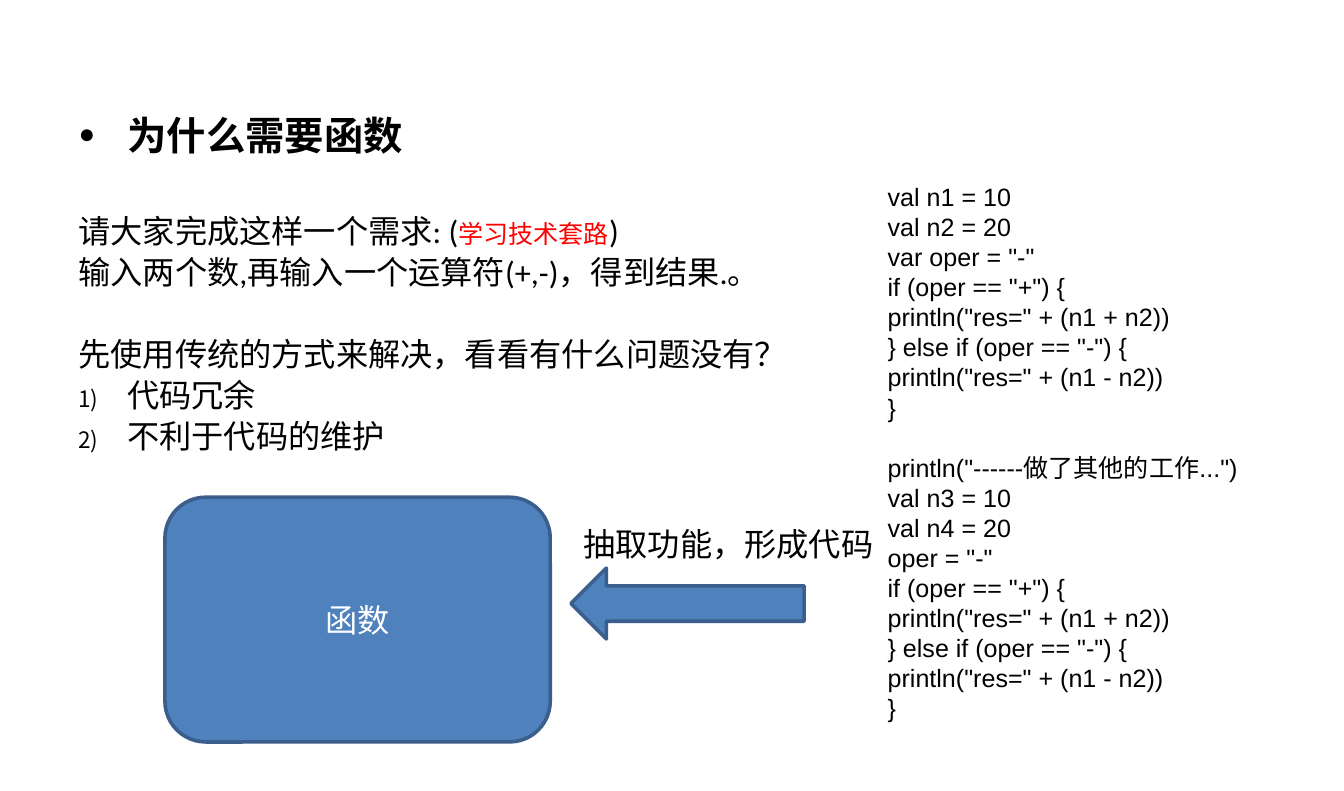
from lxml import etree
from pptx import Presentation
from pptx.dml.color import RGBColor
from pptx.enum.shapes import MSO_SHAPE
from pptx.enum.text import MSO_ANCHOR, MSO_AUTO_SIZE, PP_ALIGN
from pptx.oxml.ns import qn
from pptx.util import Inches, Pt

ROUNDED = MSO_SHAPE.ROUNDED_RECTANGLE
ARROW = MSO_SHAPE.RIGHT_ARROW
TOP, MIDDLE = MSO_ANCHOR.TOP, MSO_ANCHOR.MIDDLE
LEFT, CENTER = PP_ALIGN.LEFT, PP_ALIGN.CENTER
NO_FIT = MSO_AUTO_SIZE.NONE

BLACK = RGBColor(0x00, 0x00, 0x00)
WHITE = RGBColor(0xFF, 0xFF, 0xFF)
RED = RGBColor(0xFF, 0x00, 0x00)
BLUE = RGBColor(0x4F, 0x81, 0xBD)
DARK_BLUE = RGBColor(0x3A, 0x5F, 0x8C)

BODY_PITCH = 23
CODE_PITCH = 16.8
BRANCHES = [
    'if (oper == "+") {',
    'println("res=" + (n1 + n2))',
    '} else if (oper == "-") {',
    'println("res=" + (n1 - n2))',
    "}",
]
FIRST_CODE = ["val n1 = 10", "val n2 = 20", 'var oper = "-"'] + BRANCHES
SECOND_CODE = ['println("------做了其他的工作...")', "val n3 = 10", "val n4 = 20", 'oper = "-"'] + BRANCHES


def add_text(paragraph, text, size=18, font="Calibri", color=BLACK, bold=False):
    run = paragraph.add_run()
    run.text = text
    run.font.size = Pt(size)
    run.font.name = font
    run.font.color.rgb = color
    run.font.bold = bold


def set_bullet(paragraph, tag, **attributes):
    properties = paragraph._p.get_or_add_pPr()
    properties.set("marL", str(Inches(0.38)))
    properties.set("indent", str(Inches(-0.38)))
    color = etree.SubElement(properties, qn("a:buClr"))
    etree.SubElement(color, qn("a:srgbClr"), val=str(BLACK))
    etree.SubElement(properties, qn("a:buSzPct"), val="70000")
    etree.SubElement(properties, qn("a:buFont"), typeface="Arial")
    etree.SubElement(properties, qn(tag), **attributes)


class FunctionSlide:
    def __init__(self, presentation):
        self.slide = presentation.slides.add_slide(presentation.slide_layouts[5])

    def title(self, text, left, top, width, height):
        heading = self.slide.shapes.title
        heading.left, heading.top = Inches(left), Inches(top)
        heading.width, heading.height = Inches(width), Inches(height)
        frame = heading.text_frame
        frame.auto_size = NO_FIT
        frame.vertical_anchor = TOP
        paragraph = frame.paragraphs[0]
        paragraph.alignment = LEFT
        paragraph.line_spacing = Pt(25)
        set_bullet(paragraph, "a:buChar", char="●")
        add_text(paragraph, text, size=22, font="Arial", bold=True)

    def text_box(self, lines, left, top, width, height, pitch=None, gap_at=None, wrap=True, **style):
        box = self.slide.shapes.add_textbox(Inches(left), Inches(top), Inches(width), Inches(height))
        frame = box.text_frame
        frame.word_wrap = wrap
        for index, line in enumerate(lines):
            paragraph = frame.add_paragraph() if index else frame.paragraphs[0]
            if pitch:
                paragraph.line_spacing = Pt(pitch)
            if index == gap_at:
                paragraph.space_before = Pt(pitch)
            if line:
                add_text(paragraph, line, **style)
        return frame.paragraphs

    def shape(self, kind, left, top, width, height, text="", rotation=0):
        block = self.slide.shapes.add_shape(kind, Inches(left), Inches(top), Inches(width), Inches(height))
        block.shadow.inherit = False
        block.rotation = rotation
        block.fill.solid()
        block.fill.fore_color.rgb = BLUE
        block.line.color.rgb = DARK_BLUE
        block.line.width = Pt(2)
        if text:
            block.text_frame.vertical_anchor = MIDDLE
            paragraph = block.text_frame.paragraphs[0]
            paragraph.alignment = CENTER
            add_text(paragraph, text, color=WHITE)


def main():
    presentation = Presentation()
    presentation.slide_width = Inches(10.43)
    presentation.slide_height = Inches(6.14)

    page = FunctionSlide(presentation)
    page.title("为什么需要函数", 0.51, 0.83, 6.25, 0.5)

    body = page.text_box(
        [
            "请大家完成这样一个需求: (",
            "输入两个数,再输入一个运算符(+,-)，得到结果.。",
            "先使用传统的方式来解决，看看有什么问题没有？",
            "代码冗余",
            "不利于代码的维护",
        ],
        0.51, 1.57, 6.25, 2.1, pitch=BODY_PITCH, gap_at=2,
    )
    add_text(body[0], "学习技术套路", size=14, color=RED)
    add_text(body[0], ")")
    for problem in body[3:]:
        set_bullet(problem, "a:buAutoNum", type="arabicParenR")

    page.text_box(
        FIRST_CODE + SECOND_CODE, 6.79, 1.36, 3.65, 4.34,
        pitch=CODE_PITCH, gap_at=len(FIRST_CODE), size=14, font="Arial",
    )

    page.shape(ARROW, 4.43, 4.41, 1.81, 0.55, rotation=180)
    page.shape(ROUNDED, 1.28, 3.86, 2.99, 1.9, text="函数")
    page.text_box(["抽取功能，形成代码"], 4.43, 4.02, 2.47, 0.4, wrap=False)

    presentation.save("out.pptx")


if __name__ == "__main__":
    main()
